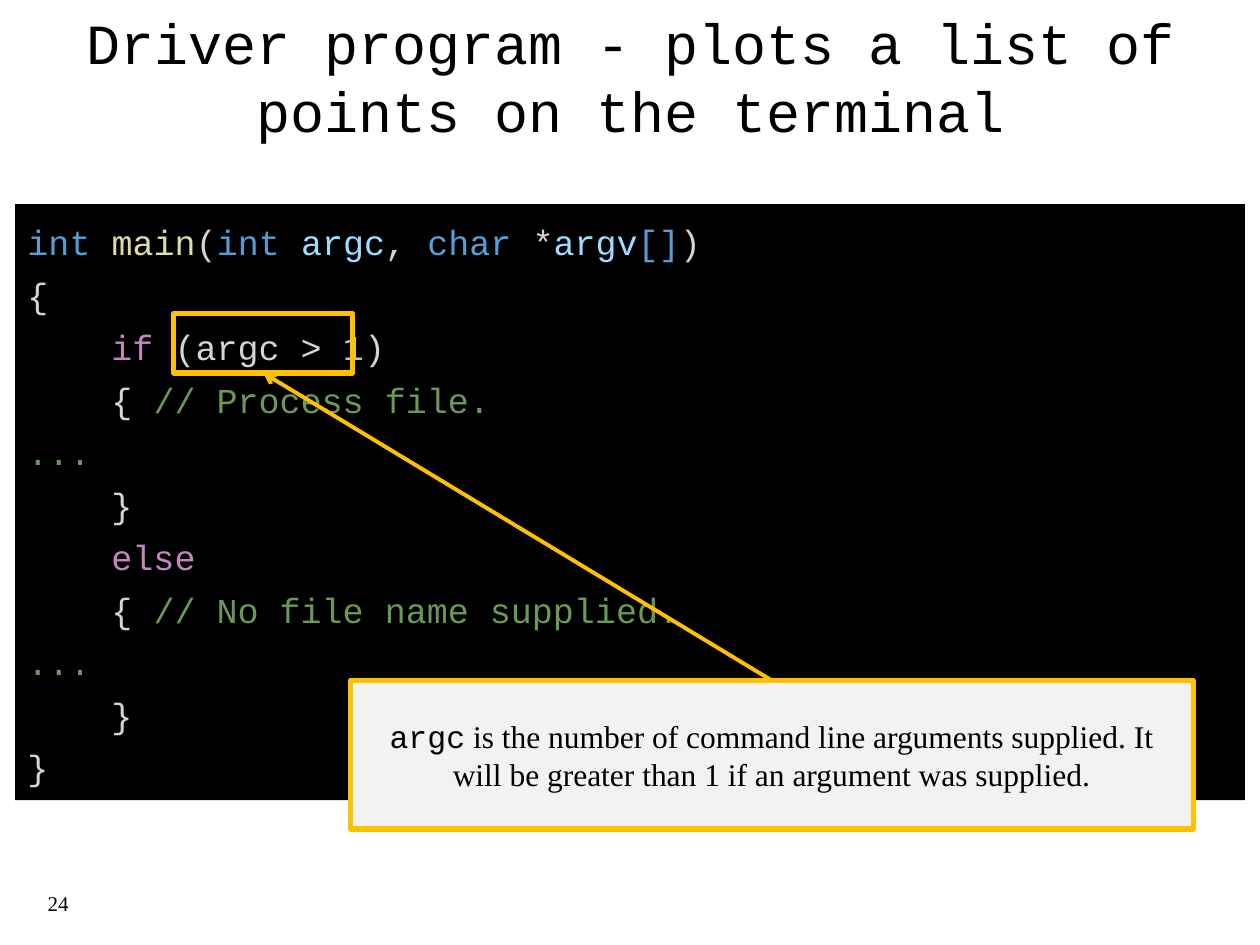
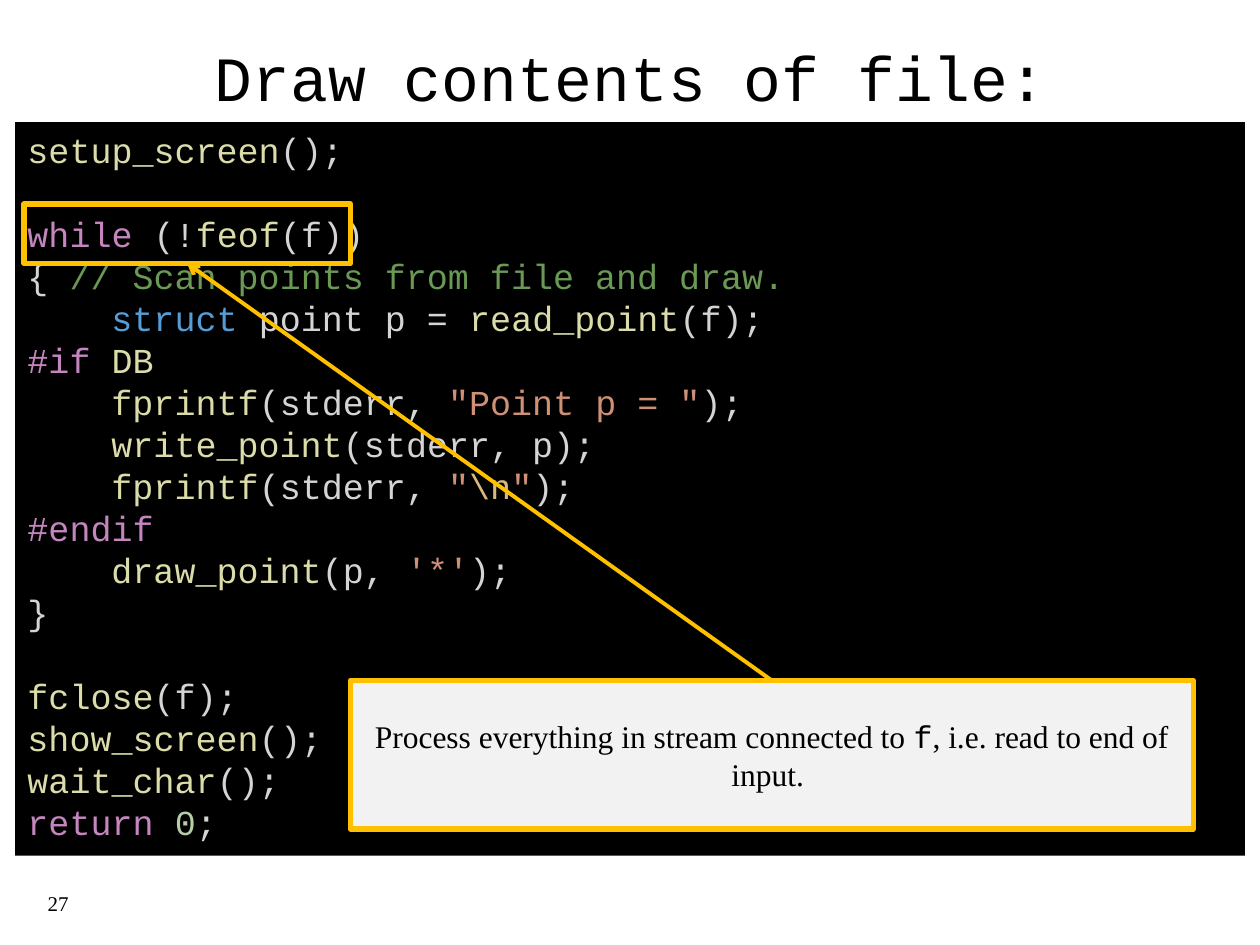
from dataclasses import dataclass

from lxml import etree
from pptx import Presentation
from pptx.dml.color import RGBColor
from pptx.enum.shapes import MSO_CONNECTOR, MSO_SHAPE
from pptx.enum.text import MSO_ANCHOR as Anchor, PP_ALIGN as Align
from pptx.oxml.ns import qn
from pptx.util import Inches, Pt

COLORS = {
    "background": "FFFFFF",
    "text": "000000",
    "code_panel": "000000",
    "callout": "F2F2F2",
    "accent": "FFC000",
    "plain": "D4D4D4",
    "type": "569CD6",
    "function": "DCDCAA",
    "variable": "9CDCFE",
    "control": "C586C0",
    "number": "B5CEA8",
    "comment": "6A9955",
    "string": "CE9178",
    "escape": "D7BA7D",
}
MONO = "Courier New"
SERIF = "Times New Roman"
CODE_SIZE = 20
CODE_INDENT = Pt(4 * 0.6 * CODE_SIZE)
BLANK_LINE = Pt(1.2 * CODE_SIZE)


@dataclass(frozen=True)
class Run:
    text: str
    color: str = "text"
    font: str = MONO


@dataclass(frozen=True)
class Line:
    runs: tuple[Run, ...]
    level: int = 0
    gap: bool = False


@dataclass(frozen=True)
class Box:
    left: float
    top: float
    width: float
    height: float

    def inches(self) -> tuple:
        return tuple(map(Inches, (self.left, self.top, self.width, self.height)))


@dataclass(frozen=True)
class CodeSlide:
    title: str
    title_size: float
    number: str
    panel: Box
    line_spacing: float
    code: tuple[Line, ...]
    highlight: Box
    note: tuple[Run, ...]


TITLE_BOX = Box(0.28, 0.06, 9.45, 1.09)
NUMBER_BOX = Box(0.28, 6.97, 7.32, 0.4)
CALLOUT_BOX = Box(2.78, 5.4, 6.69, 1.18)


def code(*tokens: tuple[str, str], level: int = 0, gap: bool = False) -> Line:
    return Line(tuple(Run(text, color) for color, text in tokens), level, gap)


def call(name: str, arguments: str = "();", **layout) -> Line:
    return code(("function", name), ("plain", arguments), **layout)


def plain(text: str, level: int = 0) -> Line:
    return code(("plain", text), level=level)


ELLIPSIS = code(("comment", "..."))

SLIDES = (
    CodeSlide(
        title="Driver program - plots a list of points on the terminal",
        title_size=32.4,
        number="24",
        panel=Box(0.12, 1.62, 9.76, 4.73),
        line_spacing=1.25,
        code=(
            code(("type", "int "), ("function", "main"), ("plain", "("),
                 ("type", "int "), ("variable", "argc"), ("plain", ", "),
                 ("type", "char"), ("plain", " *"), ("variable", "argv"),
                 ("type", "[]"), ("plain", ")")),
            plain("{"),
            code(("control", "if "), ("plain", "(argc > "), ("number", "1"),
                 ("plain", ")"), level=1),
            code(("plain", "{ "), ("comment", "// Process file."), level=1),
            ELLIPSIS,
            plain("}", level=1),
            code(("control", "else"), level=1),
            code(("plain", "{ "), ("comment", "// No file name supplied."), level=1),
            ELLIPSIS,
            plain("}", level=1),
            plain("}"),
        ),
        highlight=Box(1.38, 2.49, 1.42, 0.47),
        note=(
            Run("argc"),
            Run(" is the number of command line arguments supplied. It will be "
                "greater than 1 if an argument was supplied.", font=SERIF),
        ),
    ),
    CodeSlide(
        title="Draw contents of file:",
        title_size=36,
        number="27",
        panel=Box(0.12, 0.97, 9.76, 5.82),
        line_spacing=1.0,
        code=(
            call("setup_screen"),
            code(("control", "while"), ("plain", " (!"), ("function", "feof"),
                 ("plain", "(f))"), gap=True),
            code(("plain", "{ "), ("comment", "// Scan points from file and draw.")),
            code(("type", "struct "), ("plain", "point p = "),
                 ("function", "read_point"), ("plain", "(f);"), level=1),
            code(("control", "#if "), ("function", "DB")),
            code(("function", "fprintf"), ("plain", "(stderr, "),
                 ("string", '"Point p = "'), ("plain", ");"), level=1),
            call("write_point", "(stderr, p);", level=1),
            code(("function", "fprintf"), ("plain", "(stderr, "), ("string", '"'),
                 ("escape", r"\n"), ("string", '"'), ("plain", ");"), level=1),
            code(("control", "#endif")),
            code(("function", "draw_point"), ("plain", "(p, "), ("string", "'*'"),
                 ("plain", ");"), level=1),
            plain("}"),
            call("fclose", "(f);", gap=True),
            call("show_screen"),
            call("wait_char"),
            code(("control", "return "), ("number", "0"), ("plain", ";")),
        ),
        highlight=Box(0.19, 1.62, 2.59, 0.47),
        note=(
            Run("Process everything in stream connected to ", font=SERIF),
            Run("f"),
            Run(", i.e. read to end of input. ", font=SERIF),
        ),
    ),
)


def rgb(name: str) -> RGBColor:
    return RGBColor.from_string(COLORS[name])


def write_text(shape, lines: tuple[Line, ...], *, size: float, align=Align.LEFT,
               anchor=Anchor.MIDDLE, spacing: float = 1.0) -> None:
    frame = shape.text_frame
    frame.word_wrap = True
    frame.vertical_anchor = anchor
    for index, line in enumerate(lines):
        paragraph = frame.add_paragraph() if index else frame.paragraphs[0]
        paragraph.alignment = align
        paragraph.line_spacing = spacing
        if line.gap:
            paragraph.space_before = BLANK_LINE
        if line.level:
            properties = paragraph._p.get_or_add_pPr()
            properties.set("marL", str(line.level * CODE_INDENT))
            properties.set("indent", "0")
        for part in line.runs:
            run = paragraph.add_run()
            run.text = part.text
            run.font.name = part.font
            run.font.size = Pt(size)
            run.font.color.rgb = rgb(part.color)


def add_label(slide, box: Box, run: Run, **text_format) -> None:
    write_text(slide.shapes.add_textbox(*box.inches()), (Line((run,)),), **text_format)


def add_box(slide, box: Box, *, fill: str | None = None, outlined: bool = False):
    shape = slide.shapes.add_shape(MSO_SHAPE.RECTANGLE, *box.inches())
    shape.shadow.inherit = False
    if fill:
        shape.fill.solid()
        shape.fill.fore_color.rgb = rgb(fill)
    else:
        shape.fill.background()
    if outlined:
        shape.line.color.rgb = rgb("accent")
        shape.line.width = Pt(3)
    else:
        shape.line.fill.background()
    return shape


def add_arrow(slide, callout, highlight) -> None:
    arrow = slide.shapes.add_connector(MSO_CONNECTOR.STRAIGHT, 0, 0, 0, 0)
    arrow.begin_connect(callout, 0)
    arrow.end_connect(highlight, 2)
    arrow.line.color.rgb = rgb("accent")
    arrow.line.width = Pt(2.25)
    etree.SubElement(arrow.line._get_or_add_ln(), qn("a:tailEnd"), type="arrow")
    etree.SubElement(arrow._element.spPr, qn("a:effectLst"))


def add_code_slide(presentation, content: CodeSlide) -> None:
    slide = presentation.slides.add_slide(presentation.slide_layouts[6])
    slide.background.fill.solid()
    slide.background.fill.fore_color.rgb = rgb("background")
    panel = add_box(slide, content.panel, fill="code_panel")
    write_text(panel, content.code, size=CODE_SIZE, anchor=Anchor.TOP,
               spacing=content.line_spacing)
    add_label(slide, TITLE_BOX, Run(content.title), size=content.title_size,
              align=Align.CENTER)
    add_label(slide, NUMBER_BOX, Run(content.number, font=SERIF), size=12)
    highlight = add_box(slide, content.highlight, outlined=True)
    callout = add_box(slide, CALLOUT_BOX, fill="callout", outlined=True)
    write_text(callout, (Line(content.note),), size=18, align=Align.CENTER)
    add_arrow(slide, callout, highlight)


def main() -> None:
    presentation = Presentation()
    presentation.slide_width = Inches(10)
    presentation.slide_height = Inches(7.5)
    for content in SLIDES:
        add_code_slide(presentation, content)
    presentation.save("out.pptx")


if __name__ == "__main__":
    main()
